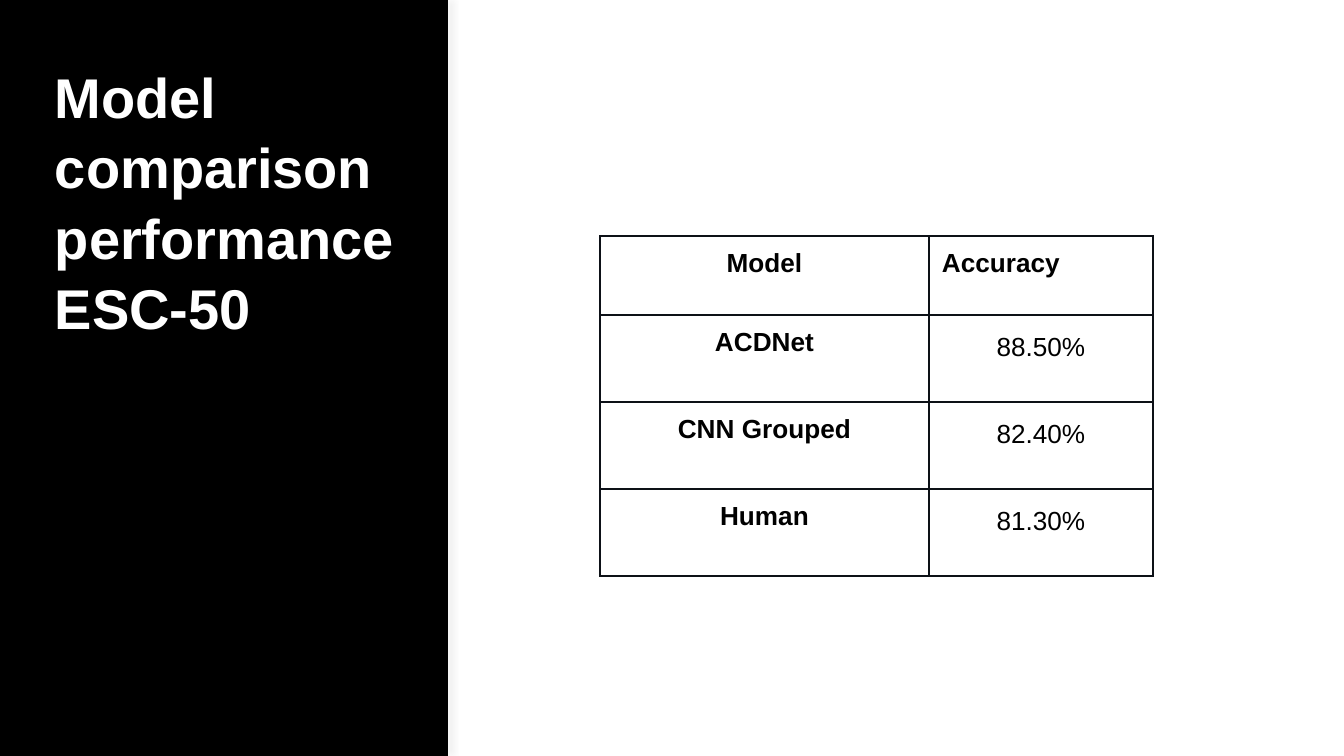
"""Build the ESC-50 model comparison slide: black title panel and accuracy table."""
import pptx
import pptx.dml.color
import pptx.enum.shapes
import pptx.enum.text
import pptx.oxml
import pptx.oxml.ns
import pptx.util

PX = 9144000 / 1344
COLORS = {"panel": "000000", "title": "FFFFFF", "text": "000000",
          "edge": "F2F2F2", "border": "0D1117", "shadow": "000000"}
NS = pptx.oxml.ns.nsdecls("a")
MARGINS = ("margin_left", "margin_top", "margin_right", "margin_bottom")
TITLE = {"name": "Arial", "size": pptx.util.Pt(30), "bold": True}
BOLD = {"name": "Arial", "size": pptx.util.Pt(14), "bold": True}
PLAIN = {**BOLD, "bold": False}
ALIGN = pptx.enum.text.PP_ALIGN


def px(*lengths):
    return [pptx.util.Emu(round(n * PX)) for n in lengths]


def write(p, text, fmt, color, align, spacing):
    r = p.add_run()
    r.text = text
    for key, value in fmt.items():
        setattr(r.font, key, value)
    r.font.color.rgb = pptx.dml.color.RGBColor.from_string(COLORS[color])
    p.alignment = align
    p.line_spacing = spacing


prs = pptx.Presentation()
prs.slide_width, prs.slide_height = px(1344, 756)
s = prs.slides.add_slide(prs.slide_layouts[6])

edge = s.shapes.add_connector(
    pptx.enum.shapes.MSO_CONNECTOR.STRAIGHT, *px(445, 0, 445, 754))
edge.line.color.rgb = pptx.dml.color.RGBColor.from_string(COLORS["edge"])
edge.line.width = pptx.util.Pt(0.75)
edge.element.spPr.append(pptx.oxml.parse_xml(
    f'<a:effectLst {NS}><a:outerShdw blurRad="50800" dist="38100" dir="0">'
    f'<a:srgbClr val="{COLORS["shadow"]}"><a:alpha val="40000"/></a:srgbClr>'
    '</a:outerShdw></a:effectLst>'))

panel = s.shapes.add_shape(
    pptx.enum.shapes.MSO_SHAPE.RECTANGLE, *px(0, 0, 448, 756))
panel.shadow.inherit = False
panel.fill.solid()
panel.fill.fore_color.rgb = pptx.dml.color.RGBColor.from_string(COLORS["panel"])
panel.line.fill.background()

tf = s.shapes.add_textbox(*px(42, 46, 400, 628)).text_frame
tf.word_wrap = True
for margin in MARGINS:
    setattr(tf, margin, px(13)[0])
for i, text in enumerate(["Model comparison performance", "ESC-50"]):
    p = tf.add_paragraph() if i else tf.paragraphs[0]
    write(p, text, TITLE, "title", ALIGN.LEFT, 1.05)

rows = [("Model", "Accuracy"), ("ACDNet", "88.50%"),
        ("CNN Grouped", "82.40%"), ("Human", "81.30%")]
widths, heights = px(329, 224), px(79, 87, 87, 87)
table = s.shapes.add_table(
    len(rows), len(widths), *px(600, 236), sum(widths), sum(heights)).table
table.first_row = table.horz_banding = False
for column, width in zip(table.columns, widths):
    column.width = width
for row, height in zip(table.rows, heights):
    row.height = height

for i, row in enumerate(rows):
    for j, text in enumerate(row):
        cell = table.cell(i, j)
        for margin in MARGINS:
            setattr(cell, margin, px(13)[0])
        tcPr = cell._tc.get_or_add_tcPr()
        for side in ("lnL", "lnR", "lnT", "lnB"):
            tcPr.append(pptx.oxml.parse_xml(
                f'<a:{side} {NS} w="9525"><a:solidFill>'
                f'<a:srgbClr val="{COLORS["border"]}"/></a:solidFill></a:{side}>'))
        cell.fill.background()
        value = i > 0 and j > 0
        align = ALIGN.LEFT if (i, j) == (0, 1) else ALIGN.CENTER
        write(cell.text_frame.paragraphs[0], text, PLAIN if value else BOLD,
              "text", align, 1.15 if value else 1.0)

prs.save("out.pptx")
